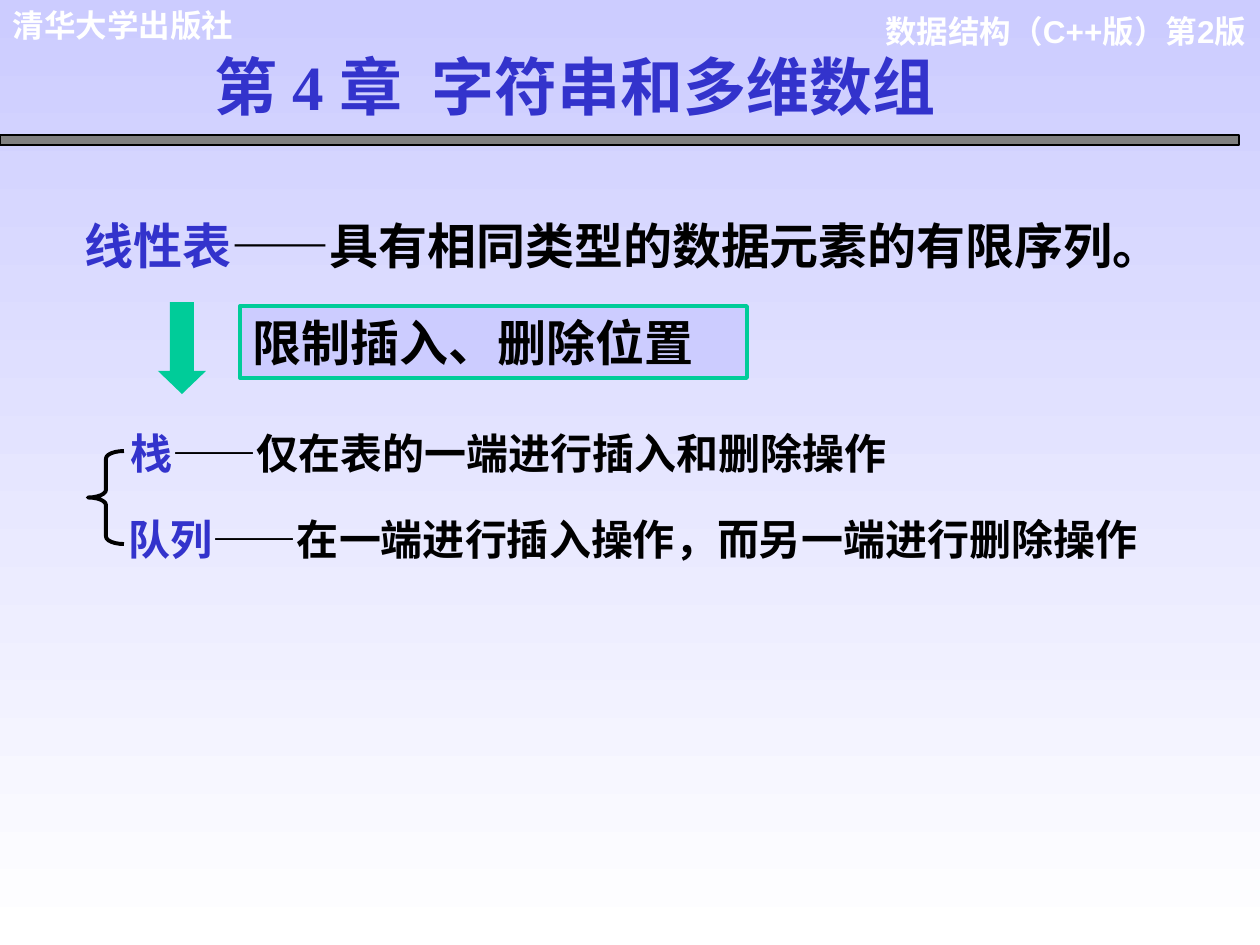
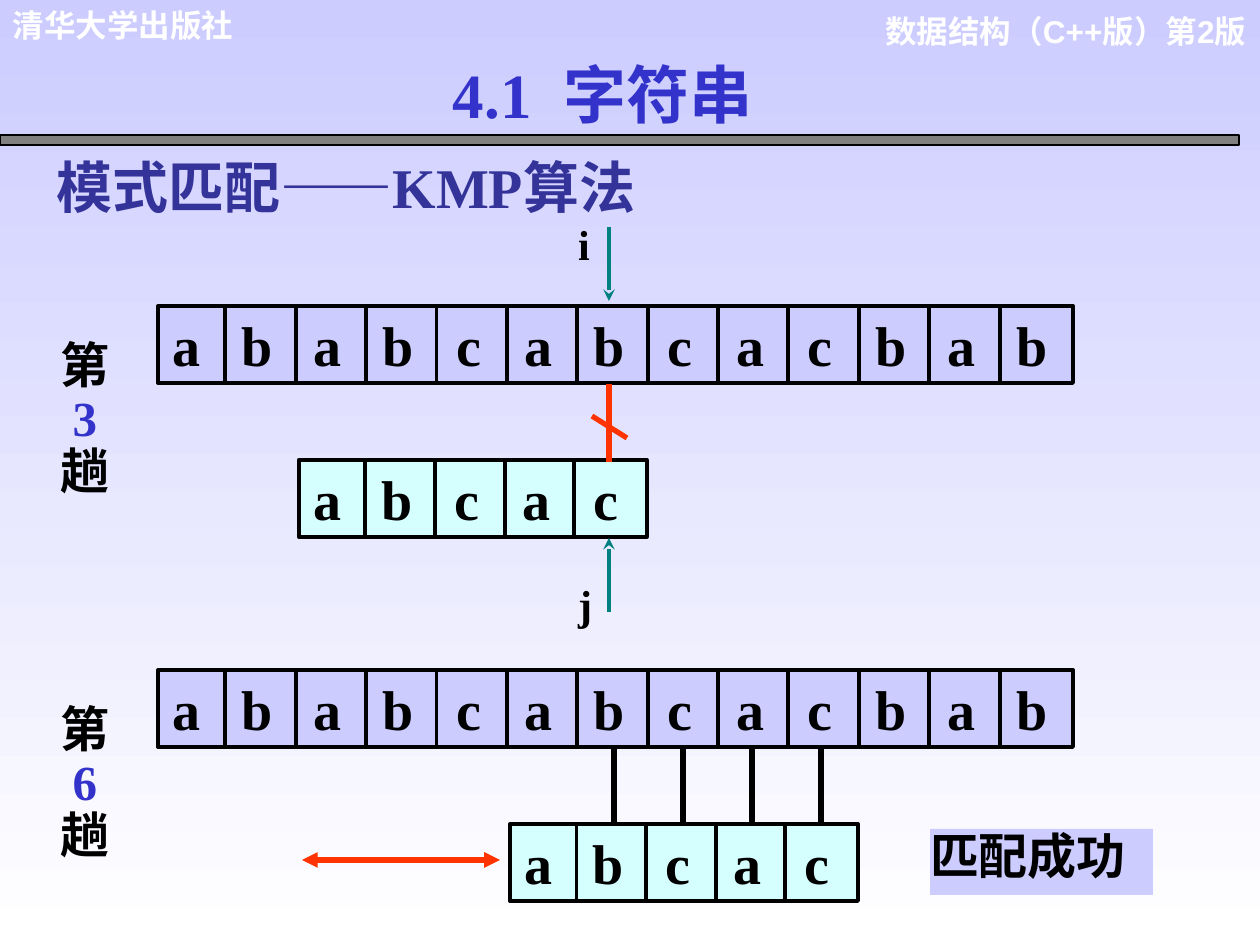
from lxml import etree
from pptx import Presentation, util as u
from pptx.dml.color import RGBColor
from pptx.enum import shapes as es, text as et
from pptx.oxml.ns import qn

EMU_PER_PX = 914400 / 126

BLACK = RGBColor(0x00, 0x00, 0x00)
WHITE = RGBColor(0xFF, 0xFF, 0xFF)
GREY = RGBColor(0x80, 0x80, 0x80)
LAVENDER = RGBColor(0xCC, 0xCC, 0xFF)
BLUE = RGBColor(0x33, 0x33, 0xCC)
INDIGO = RGBColor(0x33, 0x33, 0x99)
GREEN = RGBColor(0x00, 0xCC, 0x99)
TEAL = RGBColor(0x00, 0x80, 0x80)
RED = RGBColor(0xFF, 0x33, 0x00)
PALE_CYAN = RGBColor(0xD5, 0xFF, 0xFF)

SANS, SERIF = "Arial", "Times New Roman"
INSETS = (13, 6, 13, 6)
NO_INSETS = (0, 0, 0, 0)

MAIN_STRING, PATTERN = "ababcabcacbab", "abcac"
MAIN_WIDTH, PATTERN_WIDTH, STRIP_HEIGHT = 915, 348, 77
CELL = MAIN_WIDTH / len(MAIN_STRING)
PATTERN_DROP = 154


def px(length):
    return u.Emu(round(length * EMU_PER_PX))


def write(shape, paragraphs, size, font=SANS, insets=INSETS, align=et.PP_ALIGN.LEFT,
          anchor=et.MSO_ANCHOR.TOP, spacing=None):
    """Fill a shape with paragraphs, each a list of (text, colour) runs."""
    frame = shape.text_frame
    sides = ("margin_left", "margin_top", "margin_right", "margin_bottom")
    settings = {"word_wrap": True, "vertical_anchor": anchor}
    settings.update(zip(sides, map(px, insets)))
    for name, value in settings.items():
        setattr(frame, name, value)
    for index, runs in enumerate(paragraphs):
        paragraph = frame.add_paragraph() if index else frame.paragraphs[0]
        paragraph.alignment = align
        paragraph.line_spacing = spacing
        for words, colour in runs:
            run = paragraph.add_run()
            run.text = words
            for name, value in {"size": u.Pt(size), "bold": True, "name": font}.items():
                setattr(run.font, name, value)
            run.font.color.rgb = colour
    return frame


def add_text(slide, box, paragraphs, size, **options):
    return write(slide.shapes.add_textbox(*map(px, box)), paragraphs, size, **options)


def add_shape(slide, kind, box, fill=None, line=None, weight=2.25):
    shape = slide.shapes.add_shape(kind, *map(px, box))
    shape.shadow.inherit = False
    if fill is None:
        shape.fill.background()
    else:
        shape.fill.solid()
        shape.fill.fore_color.rgb = fill
    if line is None:
        shape.line.fill.background()
    else:
        shape.line.color.rgb = line
        shape.line.width = u.Pt(weight)
    return shape


def add_line(slide, start, end, colour=BLACK, weight=2.25, head=None, tail=None):
    line = slide.shapes.add_connector(es.MSO_CONNECTOR.STRAIGHT, *map(px, (*start, *end)))
    line.line.color.rgb = colour
    line.line.width = u.Pt(weight)
    outline = line.line._get_or_add_ln()
    for tag, arrow in (("a:headEnd", head), ("a:tailEnd", tail)):
        if arrow:
            etree.SubElement(outline, qn(tag), type=arrow)
    etree.SubElement(line._element.spPr, qn("a:effectLst"))


def add_background(slide):
    fill = slide.background.fill
    fill.gradient()
    fill.gradient_angle = 270
    for stop, colour in zip(fill.gradient_stops, (LAVENDER, WHITE)):
        stop.color.rgb = colour


def add_header(slide):
    add_text(slide, (872, 6, 387, 88), [[("数据结构（C++版）第2版", WHITE)]], 18,
             align=et.PP_ALIGN.RIGHT)
    add_text(slide, (0, 0, 341, 50), [[("清华大学出版社", WHITE)]], 18)
    add_shape(slide, es.MSO_SHAPE.RECTANGLE, (0, 135, 1239, 10), GREY, BLACK, 0.75)


def add_title(slide, box, words, align):
    frame = add_text(slide, box, [[(words, BLUE)]], 36, font=SERIF, align=align)
    colour_fill = frame.paragraphs[0].runs[0]._r.rPr.find(qn("a:solidFill"))
    effects = etree.Element(qn("a:effectLst"))
    shadow = etree.SubElement(effects, qn("a:outerShdw"), dist="25400", dir="2700000")
    etree.SubElement(shadow, qn("a:srgbClr"), val=str(GREY))
    colour_fill.addnext(effects)


def start_slide(deck, title_box, title, align):
    slide = deck.slides.add_slide(deck.slide_layouts[6])
    add_background(slide)
    add_header(slide)
    add_title(slide, title_box, title, align)
    return slide


def add_definition(slide, box, term, meaning, size):
    add_text(slide, box, [[(term, BLUE), ("——" + meaning, BLACK)]], size)


def add_restriction(slide, left, top):
    arrow = add_shape(slide, es.MSO_SHAPE.DOWN_ARROW, (left, top, 48, 92), GREEN)
    arrow.adjustments[1] = 0.48
    note = add_shape(slide, es.MSO_SHAPE.RECTANGLE, (left + 82, top + 4, 507, 72),
                     LAVENDER, GREEN)
    write(note, [[("限制插入、删除位置", BLACK)]], 28)


def add_restricted_lists(slide, left, top):
    add_definition(slide, (left + 29, top, 1065, 63), "栈",
                   "仅在表的一端进行插入和删除操作", 24)
    add_definition(slide, (left + 28, top + 86, 1051, 63), "队列",
                   "在一端进行插入操作，而另一端进行删除操作", 24)
    brace = add_shape(slide, es.MSO_SHAPE.LEFT_BRACE, (left, top + 29, 36, 93), line=BLACK)
    brace.adjustments[0] = 0.21


def add_strip(slide, left, top, width, letters, fill):
    """Draw a string as a row of cells, its letters centred on tab stops."""
    strip = add_shape(slide, es.MSO_SHAPE.RECTANGLE, (left, top, width, STRIP_HEIGHT),
                      fill, BLACK)
    frame = write(strip, [[("\t".join(letters), BLACK)]], 32, font=SERIF,
                  insets=(15, 0, 0, 0), anchor=et.MSO_ANCHOR.MIDDLE)
    tabs = etree.SubElement(frame.paragraphs[0]._p.get_or_add_pPr(), qn("a:tabLst"))
    pitch = width / len(letters)
    for index in range(1, len(letters)):
        etree.SubElement(tabs, qn("a:tab"), pos=str(px(14 + pitch * index)), algn="ctr")
        divider = left + pitch * index - 3
        add_line(slide, (divider, top), (divider, top + STRIP_HEIGHT))


def add_round(slide, left, top, number, shift):
    """Show one matching round, with the pattern moved right by shift cells."""
    add_strip(slide, left, top, MAIN_WIDTH, MAIN_STRING, LAVENDER)
    add_strip(slide, left + shift * CELL, top + PATTERN_DROP, PATTERN_WIDTH, PATTERN,
              PALE_CYAN)
    add_text(slide, (left - 111, top + 29, 89, 171),
             [[("第", BLACK)], [(number, BLUE)], [("趟", BLACK)]], 28, font=SERIF,
             insets=(13, 6, 26, 6), align=et.PP_ALIGN.CENTER, spacing=0.9)


def add_mismatch(slide, x, top):
    """Mark the failed comparison below a main string at top, with both pointers."""
    add_line(slide, (x, top + 78), (x, top + 156), RED, 3)
    add_line(slide, (x - 17, top + 110), (x + 18, top + 132), RED, 3)
    for name, label_top, start, end in (("i", -93, -79, -5), ("j", 267, 306, 232)):
        add_line(slide, (x, top + start), (x, top + end), TEAL, tail="stealth")
        add_text(slide, (x - 31, top + label_top, 31, 63), [[(name, BLACK)]], 24,
                 font=SERIF, insets=(0, 6, 0, 6))


def add_success(slide, left, top):
    """Mark the four equal pairs, the distance moved and the result."""
    for pair in range(4):
        x = left + 456 + 69 * pair
        add_line(slide, (x, top + 78), (x, top + 152), weight=3)
    add_line(slide, (left + 144, top + 190), (left + 342, top + 190), RED, 3,
             head="triangle", tail="triangle")
    result = add_shape(slide, es.MSO_SHAPE.RECTANGLE, (left + 772, top + 159, 223, 66),
                       LAVENDER)
    write(result, [[("匹配成功", BLACK)]], 28, font=SERIF, insets=NO_INSETS, spacing=0.96)


def build_chapter_slide(deck):
    slide = start_slide(deck, (202, 42, 785, 88), "第 4 章  字符串和多维数组",
                        et.PP_ALIGN.LEFT)
    add_definition(slide, (72, 210, 1114, 72), "线性表",
                   "具有相同类型的数据元素的有限序列。", 28)
    add_restriction(slide, 158, 302)
    add_restricted_lists(slide, 88, 422)


def build_kmp_slide(deck):
    slide = start_slide(deck, (369, 50, 467, 88), "4.1  字符串", et.PP_ALIGN.CENTER)
    add_text(slide, (43, 147, 1029, 81), [[("模式匹配——KMP算法", INDIGO)]], 32, font=SERIF)
    left, third_top, sixth_top = 158, 306, 670
    add_round(slide, left, third_top, "3", 2)
    add_mismatch(slide, left + 451, third_top)
    add_round(slide, left, sixth_top, "6", 5)
    add_success(slide, left, sixth_top)


def main():
    deck = Presentation()
    deck.slide_width, deck.slide_height = px(1260), px(945)
    build_chapter_slide(deck)
    build_kmp_slide(deck)
    deck.save("out.pptx")


if __name__ == "__main__":
    main()
